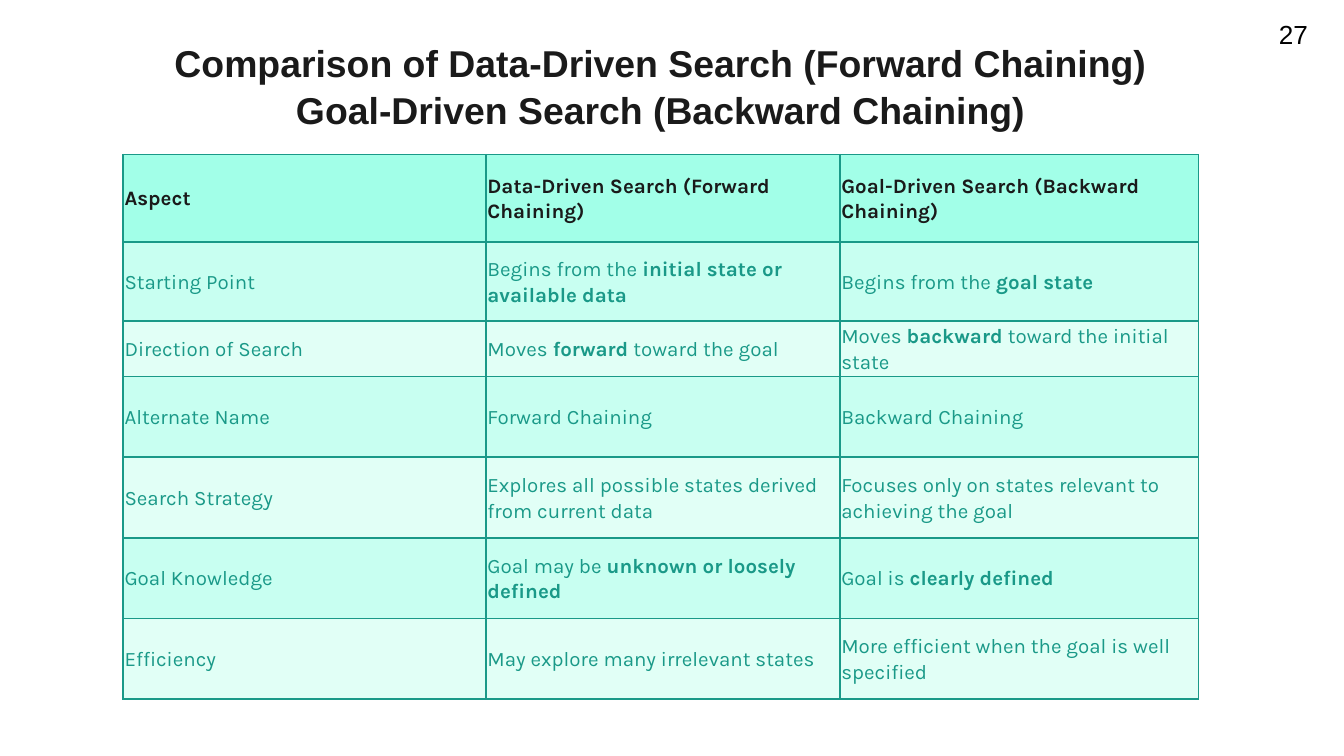
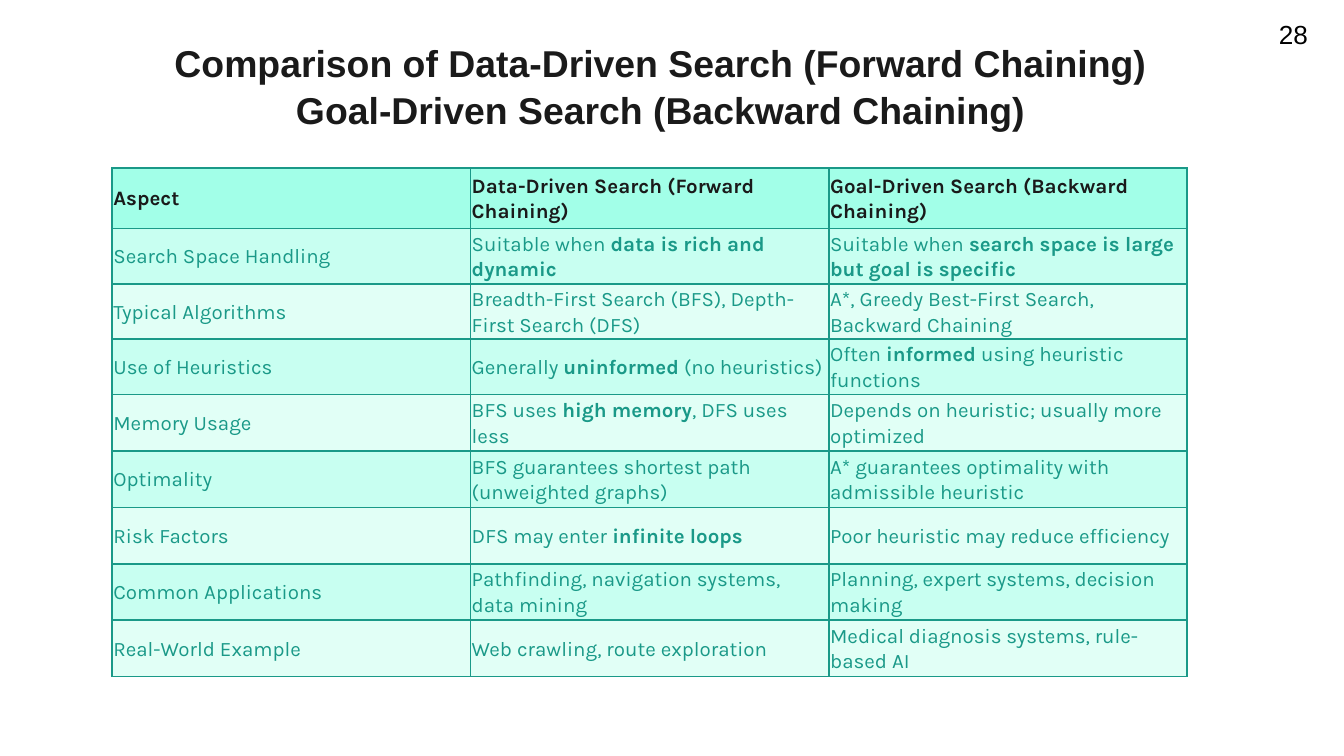
"""Build two slides that compare data-driven and goal-driven search."""
from lxml.etree import SubElement
from pptx import Presentation
from pptx.dml.color import RGBColor
from pptx.enum.text import MSO_ANCHOR, MSO_AUTO_SIZE, PP_ALIGN
from pptx.oxml.ns import qn
from pptx.util import Inches, Pt

INK = RGBColor(0x1A, 0x1A, 0x1A)
BLACK = RGBColor(0x00, 0x00, 0x00)
TEAL = RGBColor(0x1A, 0x99, 0x88)
HEADER_MINT = RGBColor(0xA2, 0xFF, 0xE8)
BAND_MINT = RGBColor(0xC8, 0xFF, 0xF1)
PALE_MINT = RGBColor(0xE1, 0xFF, 0xF6)

GRID_COLUMNS = 12
GRID_ROWS = 45
TITLE_ONLY = 5

TITLE = (
    "Comparison of Data-Driven Search (Forward Chaining) "
    "Goal-Driven Search (Backward Chaining)"
)
HEADER = (
    "Aspect",
    "Data-Driven Search (Forward Chaining)",
    "Goal-Driven Search (Backward Chaining)",
)
BASICS = [
    ("Starting Point", "Begins from the **initial state or available data**",
     "Begins from the **goal state**"),
    ("Direction of Search", "Moves **forward** toward the goal",
     "Moves **backward** toward the initial state"),
    ("Alternate Name", "Forward Chaining", "Backward Chaining"),
    ("Search Strategy", "Explores all possible states derived from current data",
     "Focuses only on states relevant to achieving the goal"),
    ("Goal Knowledge", "Goal may be **unknown or loosely defined**",
     "Goal is **clearly defined**"),
    ("Efficiency", "May explore many irrelevant states",
     "More efficient when the goal is well specified"),
]
PRACTICE = [
    ("Search Space Handling", "Suitable when **data is rich and dynamic**",
     "Suitable when **search space is large but goal is specific**"),
    ("Typical Algorithms", "Breadth-First Search (BFS), Depth-First Search (DFS)",
     "A*, Greedy Best-First Search, Backward Chaining"),
    ("Use of Heuristics", "Generally **uninformed** (no heuristics)",
     "Often **informed** using heuristic functions"),
    ("Memory Usage", "BFS uses **high memory**, DFS uses less",
     "Depends on heuristic; usually more optimized"),
    ("Optimality", "BFS guarantees shortest path (unweighted graphs)",
     "A* guarantees optimality with admissible heuristic"),
    ("Risk Factors", "DFS may enter **infinite loops**",
     "Poor heuristic may reduce efficiency"),
    ("Common Applications", "Pathfinding, navigation systems, data mining",
     "Planning, expert systems, decision making"),
    ("Real-World Example", "Web crawling, route exploration",
     "Medical diagnosis systems, rule-based AI"),
]


class ComparisonDeck:
    """Hold the presentation, its style and the current slide."""

    def __init__(self):
        """Start an empty widescreen presentation."""
        self.presentation = Presentation()
        self.presentation.slide_width = Inches(10)
        self.presentation.slide_height = Inches(5.625)
        self.slide = None

    def across(self, columns):
        """Turn grid columns into a length."""
        return round(self.presentation.slide_width * columns / GRID_COLUMNS)

    def down(self, rows):
        """Turn grid rows into a length."""
        return round(self.presentation.slide_height * rows / GRID_ROWS)

    def set_font(self, paragraph, name, size, color, bold=False):
        """Format every run of a paragraph alike."""
        font = paragraph.font
        font.name, font.size, font.bold = name, Pt(size), bold
        font.color.rgb = color

    def add_slide(self, number):
        """Add a slide with the shared title and its number."""
        layout = self.presentation.slide_layouts[TITLE_ONLY]
        self.slide = self.presentation.slides.add_slide(layout)
        self.add_title()
        self.add_number(number)

    def add_title(self):
        """Place and format the title placeholder."""
        title = self.slide.shapes.title
        title.left, title.top = self.across(1), self.down(1.84)
        title.width, title.height = self.across(9.8), self.down(5.92)
        frame = title.text_frame
        frame.text = TITLE
        frame.word_wrap = True
        frame.auto_size = MSO_AUTO_SIZE.NONE
        frame.vertical_anchor = MSO_ANCHOR.TOP
        paragraph = frame.paragraphs[0]
        paragraph.alignment = PP_ALIGN.CENTER
        paragraph.line_spacing = 1.05
        self.set_font(paragraph, "Arial", 20, INK, bold=True)

    def add_number(self, number):
        """Write the slide number in the top right corner."""
        box = self.slide.shapes.add_textbox(
            self.across(11.3), self.down(0.72), self.across(0.5), self.down(2.72))
        frame = box.text_frame
        frame.text = str(number)
        frame.word_wrap = False
        frame.auto_size = MSO_AUTO_SIZE.SHAPE_TO_FIT_TEXT
        self.set_font(frame.paragraphs[0], "Arial", 14, BLACK)

    def add_table(self, left, top, widths, heights, body):
        """Add a banded table whose measures are grid units."""
        table = self.slide.shapes.add_table(
            len(heights), len(widths), self.across(left), self.down(top),
            self.across(sum(widths)), self.down(sum(heights))).table
        table.horz_banding = False
        for column, width in zip(table.columns, widths):
            column.width = self.across(width)
        for index, (row, height) in enumerate(zip(table.rows, heights)):
            row.height = self.down(height)
            fill = BAND_MINT if index % 2 else PALE_MINT
            for cell, text in zip(row.cells, [HEADER, *body][index]):
                if index == 0:
                    self.fill_cell(cell, text, HEADER_MINT, INK, bold=True)
                else:
                    self.fill_cell(cell, text, fill, TEAL)

    def fill_cell(self, cell, text, fill, color, bold=False):
        """Write a cell, with bold parts between double asterisks."""
        cell.margin_left = cell.margin_right = Inches(0.01)
        cell.margin_top = cell.margin_bottom = Inches(0.01)
        cell.vertical_anchor = MSO_ANCHOR.MIDDLE
        self.add_borders(cell)
        cell.fill.solid()
        cell.fill.fore_color.rgb = fill
        paragraph = cell.text_frame.paragraphs[0]
        paragraph.line_spacing = 1.07
        paragraph.space_after = Pt(8)
        self.set_font(paragraph, "Karla", 11, color, bold)
        for index, part in enumerate(text.split("**")):
            if part:
                run = paragraph.add_run()
                run.text = part
                if index % 2:
                    run.font.bold = True

    def add_borders(self, cell):
        """Draw a thin teal line on each side of a cell."""
        properties = cell._tc.get_or_add_tcPr()
        for side in ("a:lnL", "a:lnR", "a:lnT", "a:lnB"):
            line = SubElement(properties, qn(side), w=str(Pt(1)))
            solid = SubElement(line, qn("a:solidFill"))
            SubElement(solid, qn("a:srgbClr"), val=str(TEAL))


def main():
    """Build both slides and save them."""
    deck = ComparisonDeck()
    deck.add_slide(27)
    deck.add_table(1.1, 9.2, [3.24, 3.16, 3.2],
                   [5.2, 4.72, 3.28] + [4.8] * 4, BASICS)
    deck.add_slide(28)
    deck.add_table(1, 10, [3.2] * 3, [3.6] + [3.28] * 3 + [3.36] * 5, PRACTICE)
    deck.presentation.save("out.pptx")


if __name__ == "__main__":
    main()
